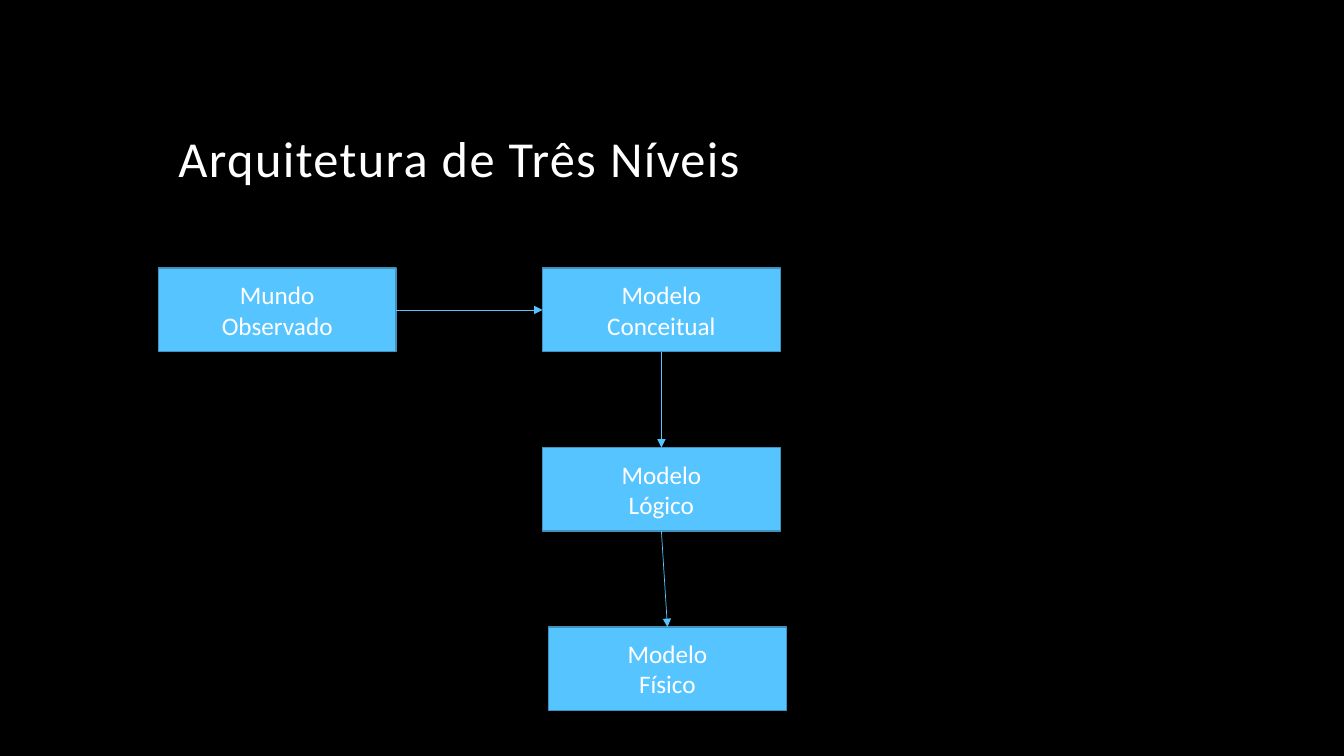
import pptx
import pptx.dml.color
import pptx.enum.shapes
import pptx.enum.text
import pptx.oxml.ns
import pptx.util
import lxml.etree

Inches = pptx.util.Inches
Pt = pptx.util.Pt
ALIGN = pptx.enum.text.PP_ALIGN
ANCHOR = pptx.enum.text.MSO_ANCHOR

LEVEL_WIDTH, LEVEL_HEIGHT = 2.36, 0.83
ROW_STEP = 1.78
BOTTOM, LEFT, RIGHT, TOP = 2, 1, 3, 0


def color(value):
    return pptx.dml.color.RGBColor.from_string(value)


def apply_format(target, values):
    for attribute, value in values.items():
        setattr(target, attribute, value)


def write_text(shape, text, anchor, size, paragraph_format):
    frame = shape.text_frame
    frame.text = text
    apply_format(frame, {"word_wrap": True, "vertical_anchor": anchor})
    for paragraph in frame.paragraphs:
        apply_format(paragraph, paragraph_format)
        for run in paragraph.runs:
            apply_format(run.font, {"name": "Calibri", "size": Pt(size)})
            run.font.color.rgb = color("FFFFFF")


def add_title(slide, left, top, width, height):
    title = slide.shapes.title
    apply_format(title, {
        "left": Inches(left), "top": Inches(top),
        "width": Inches(width), "height": Inches(height),
    })
    write_text(title, "Arquitetura de Três Níveis", ANCHOR.BOTTOM, 36,
               {"alignment": ALIGN.LEFT, "line_spacing": 0.9})
    for run in title.text_frame.paragraphs[0].runs:
        run.font._element.set("spc", "100")


def add_level(slide, text, left, top):
    level = slide.shapes.add_shape(
        pptx.enum.shapes.MSO_SHAPE.RECTANGLE,
        Inches(left), Inches(top), Inches(LEVEL_WIDTH), Inches(LEVEL_HEIGHT))
    level.shadow.inherit = False
    level.fill.solid()
    level.fill.fore_color.rgb = color("56C5FF")
    level.line.color.rgb = color("4092BD")
    level.line.width = Pt(1)
    write_text(level, text, ANCHOR.MIDDLE, 18, {"alignment": ALIGN.CENTER})
    return level


def add_arrow(slide, source, source_side, target, target_side):
    arrow = slide.shapes.add_connector(
        pptx.enum.shapes.MSO_CONNECTOR.STRAIGHT, 0, 0, 0, 0)
    arrow.begin_connect(source, source_side)
    arrow.end_connect(target, target_side)
    arrow.line.color.rgb = color("56C5FF")
    arrow.line.width = Pt(0.5)
    qn = pptx.oxml.ns.qn
    lxml.etree.SubElement(arrow.line._get_or_add_ln(), qn("a:tailEnd"), type="triangle")
    lxml.etree.SubElement(arrow._element.spPr, qn("a:effectLst"))


def add_levels_diagram(slide, left, top):
    model_left = left + 3.81
    world = add_level(slide, "Mundo\nObservado", left, top)
    conceptual = add_level(slide, "Modelo\nConceitual", model_left, top)
    logical = add_level(slide, "Modelo\nLógico", model_left, top + ROW_STEP)
    physical = add_level(slide, "Modelo\nFísico", model_left + 0.06, top + 2 * ROW_STEP)
    add_arrow(slide, world, RIGHT, conceptual, LEFT)
    add_arrow(slide, conceptual, BOTTOM, logical, TOP)
    add_arrow(slide, logical, BOTTOM, physical, TOP)


def main():
    presentation = pptx.Presentation()
    apply_format(presentation, {
        "slide_width": Inches(13.33), "slide_height": Inches(7.5),
    })
    slide = presentation.slides.add_slide(presentation.slide_layouts[5])
    slide.background.fill.solid()
    slide.background.fill.fore_color.rgb = color("000000")
    add_title(slide, 1.67, 0.42, 10, 1.5)
    add_levels_diagram(slide, 1.57, 2.66)
    presentation.save("out.pptx")


if __name__ == "__main__":
    main()
